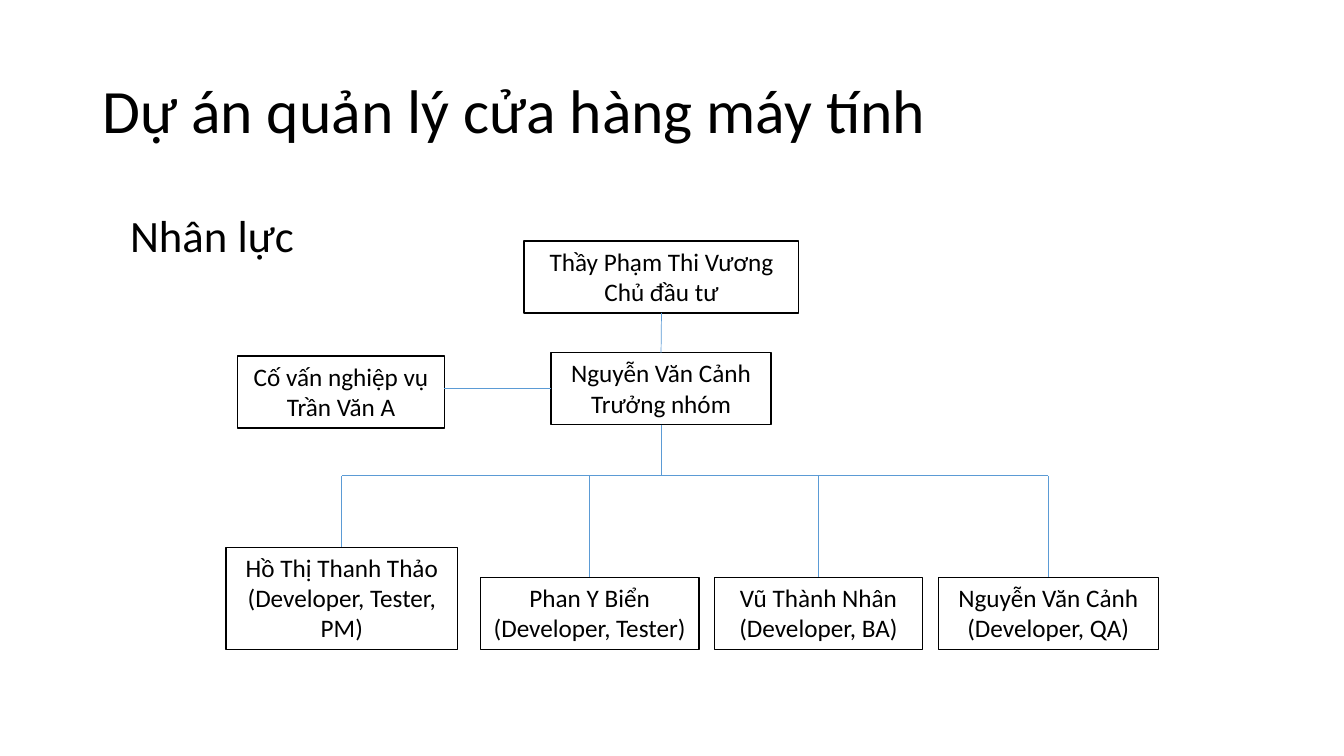
from dataclasses import dataclass
from pptx import Presentation
from pptx.dml.color import RGBColor
from pptx.enum.shapes import MSO_CONNECTOR, MSO_SHAPE
from pptx.enum.text import MSO_ANCHOR, PP_ALIGN
from pptx.oxml.ns import qn
from pptx.util import Inches, Pt
from lxml import etree

RECT, LINE = MSO_SHAPE.RECTANGLE, MSO_CONNECTOR.STRAIGHT
LEFT, CENTER = PP_ALIGN.LEFT, PP_ALIGN.CENTER
TOP, MIDDLE = MSO_ANCHOR.TOP, MSO_ANCHOR.MIDDLE

# Grid: 160 columns by 90 rows
COLS, ROWS = 160, 90
WIDE, HIGH = Inches(13.333), Inches(7.5)


@dataclass(frozen=True)
class Theme:
    font: str = "Calibri"
    ink: RGBColor = RGBColor(0, 0, 0)
    paper: RGBColor = RGBColor(255, 255, 255)
    link: RGBColor = RGBColor(0x5B, 0x9B, 0xD5)
    title: int = 44
    head: int = 32
    body: int = 18
    edge: float = 1
    thin: float = 0.5


@dataclass(frozen=True)
class Box:
    text: str
    col: float
    row: float
    wide: float
    high: float = 8.55

    @property
    def mid(self) -> float:
        return self.col + self.wide / 2

    @property
    def end(self) -> float:
        return self.row + self.high


look = Theme()
deck = Presentation()
deck.slide_width, deck.slide_height = WIDE, HIGH
slide = deck.slides.add_slide(deck.slide_layouts[6])


def across(col: float) -> int:
    return round(WIDE * col / COLS)


def down(row: float) -> int:
    return round(HIGH * row / ROWS)


def place(box: Box) -> tuple[int, int, int, int]:
    return across(box.col), down(box.row), across(box.wide), down(box.high)


def write(frame, text: str, size: int, align=LEFT, anchor=TOP,
          wrap: bool = True, space: float = 1) -> None:
    frame.word_wrap = wrap
    frame.vertical_anchor = anchor
    frame.text = text
    for para in frame.paragraphs:
        para.alignment = align
        para.line_spacing = space
        para.font.name = look.font
        para.font.size = Pt(size)
        para.font.color.rgb = look.ink


def draw(box: Box) -> None:
    shape = slide.shapes.add_shape(RECT, *place(box))
    shape.shadow.inherit = False
    shape.fill.solid()
    shape.fill.fore_color.rgb = look.paper
    shape.line.color.rgb = look.ink
    shape.line.width = Pt(look.edge)
    write(shape.text_frame, box.text, look.body, CENTER)


def join(col: float, row: float, to_col: float, to_row: float) -> None:
    line = slide.shapes.add_connector(
        LINE, across(col), down(row), across(to_col), down(to_row))
    line.line.color.rgb = look.link
    line.line.width = Pt(look.thin)
    etree.SubElement(line._element.spPr, qn("a:effectLst"))


# Headings
title = Box("Dự án quản lý cửa hàng máy tính", 11, 4.8, 138, 17.4)
head = Box("Nhân lực", 14.3, 24.2, 22, 7.7)
label = slide.shapes.add_textbox(*place(title))
write(label.text_frame, title.text, look.title, anchor=MIDDLE, space=0.9)
label = slide.shapes.add_textbox(*place(head))
write(label.text_frame, head.text, look.head, wrap=False)

# People
owner = Box("Thầy Phạm Thi Vương\nChủ đầu tư", 62.4, 28.7, 32.7)
lead = Box("Nguyễn Văn Cảnh\vTrưởng nhóm", 65.6, 42, 26.2)
guide = Box("Cố vấn nghiệp vụ\nTrần Văn A", 28.3, 42.4, 24.6)
team = [
    Box("Hồ Thị Thanh Thảo (Developer, Tester, PM)", 26.9, 65.15, 27.6, 12.15),
    Box("Phan Y Biển\n(Developer, Tester)", 57.2, 68.75, 26),
    Box("Vũ Thành Nhân\n(Developer, BA)", 85.1, 68.75, 24.7),
    Box("Nguyễn Văn Cảnh\v(Developer, QA)", 111.7, 68.75, 26.2),
]
for box in [owner, lead, guide, *team]:
    draw(box)

# Links
rail = 56.65
side = lead.row + lead.high / 2
join(owner.mid, owner.end, lead.mid, lead.row)
join(lead.col, side, guide.col + guide.wide, side)
join(lead.mid, lead.end, lead.mid, rail)
join(team[0].mid, rail, team[-1].mid, rail)
for box in team:
    join(box.mid, rail, box.mid, box.row)

deck.save("out.pptx")
